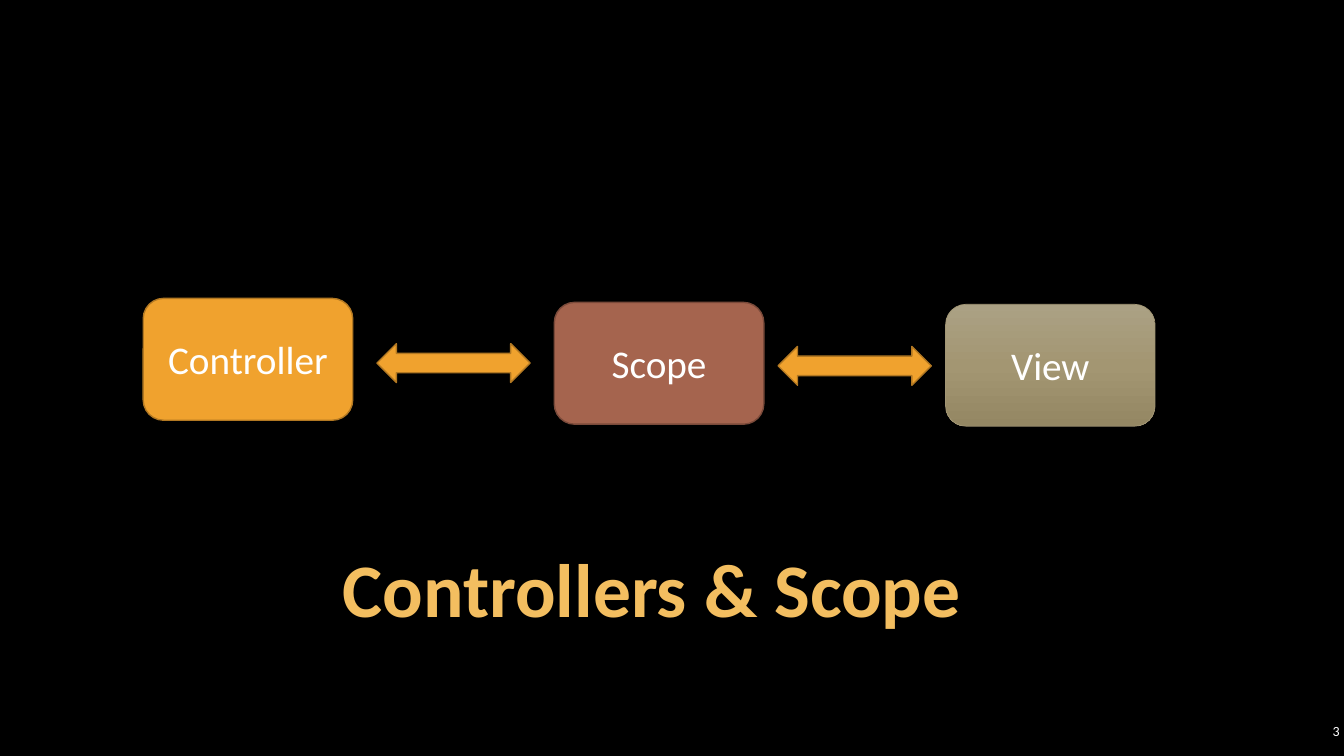
from copy import deepcopy

from pptx import Presentation
from pptx import util as u
from pptx.dml.color import RGBColor
from pptx.enum import shapes, text
from pptx.oxml.ns import qn

COLORS = {
    "background": "000000",
    "white": "FFFFFF",
    "title": "F3BE60",
    "orange": "F0A22E",
    "orange_line": "B27822",
    "brown": "A5644E",
    "brown_line": "7A4A3A",
    "khaki_light": "ABA184",
    "khaki": "A39672",
    "khaki_dark": "948763",
    "khaki_line": "A19574",
}


def rgb(name):
    return RGBColor.from_string(COLORS[name])


class SlideBuilder:
    font = "Calibri"

    def __init__(self, slide):
        self.slide = slide
        fill = slide.background.fill
        fill.solid()
        fill.fore_color.rgb = rgb("background")

    def add_text(self, frame, content, size, color, align, bold=False):
        paragraph = frame.paragraphs[0]
        paragraph.alignment = align
        run = paragraph.add_run()
        run.text = content
        run.font.name = self.font
        run.font.size = u.Pt(size)
        run.font.bold = bold
        run.font.color.rgb = rgb(color)
        return paragraph

    def label(self, box, content, size, color, align, anchor, bold=False):
        frame = self.slide.shapes.add_textbox(*map(u.Cm, box)).text_frame
        frame.word_wrap = True
        frame.vertical_anchor = anchor
        frame.margin_left = frame.margin_right = u.Cm(0.1)
        frame.margin_top = frame.margin_bottom = u.Cm(0.1)
        return self.add_text(frame, content, size, color, align, bold)

    def shape(self, kind, box, fills, line, line_width=1):
        shape = self.slide.shapes.add_shape(kind, *map(u.Cm, box))
        shape.shadow.inherit = False
        shape.line.color.rgb = rgb(line)
        shape.line.width = u.Pt(line_width)
        if len(fills) == 1:
            shape.fill.solid()
            shape.fill.fore_color.rgb = rgb(fills[0])
        else:
            self.gradient(shape, fills)
        return shape

    def gradient(self, shape, fills):
        """Spread the colours evenly from top to bottom."""
        shape.fill.gradient()
        shape.fill.gradient_angle = 270
        stop_list = shape.element.spPr.find(".//" + qn("a:gsLst"))
        for _ in fills[2:]:
            stop_list.append(deepcopy(stop_list[0]))
        for index, stop in enumerate(shape.fill.gradient_stops):
            stop.position = index / (len(fills) - 1)
            stop.color.rgb = rgb(fills[index])

    def block(self, left, top, content, fills, line, line_width=1):
        shape = self.shape(shapes.MSO_SHAPE.FLOWCHART_ALTERNATE_PROCESS,
                           (left, top, 5.28, 3.07), fills, line, line_width)
        shape.text_frame.vertical_anchor = text.MSO_ANCHOR.MIDDLE
        self.add_text(shape.text_frame, content, 28, "white",
                      text.PP_ALIGN.CENTER)

    def arrow(self, left, top):
        self.shape(shapes.MSO_SHAPE.LEFT_RIGHT_ARROW,
                   (left, top, 3.86, 0.98), ["orange"], "orange_line")


def main():
    presentation = Presentation()
    presentation.slide_width = u.Cm(33.87)
    presentation.slide_height = u.Cm(19.05)
    builder = SlideBuilder(
        presentation.slides.add_slide(presentation.slide_layouts[6]))

    # Title and page number
    title = builder.label((4.01, 13.77, 24.84, 2.29), "Controllers & Scope", 54,
                          "title", text.PP_ALIGN.CENTER,
                          text.MSO_ANCHOR.BOTTOM, bold=True)
    title.line_spacing = 0.9
    builder.label((32.66, 18.14, 1.2, 0.56), "3", 10, "white",
                  text.PP_ALIGN.RIGHT, text.MSO_ANCHOR.MIDDLE)

    # Blocks
    builder.block(3.61, 7.52, "Controller", ["orange"], "orange_line")
    builder.block(13.97, 7.62, "Scope", ["brown"], "brown_line")
    builder.block(23.83, 7.67, "View", ["khaki_light", "khaki", "khaki_dark"],
                  "khaki_line", 0.5)

    # Two-way arrows between the blocks
    builder.arrow(9.5, 8.66)
    builder.arrow(19.61, 8.73)

    presentation.save("out.pptx")


if __name__ == "__main__":
    main()
